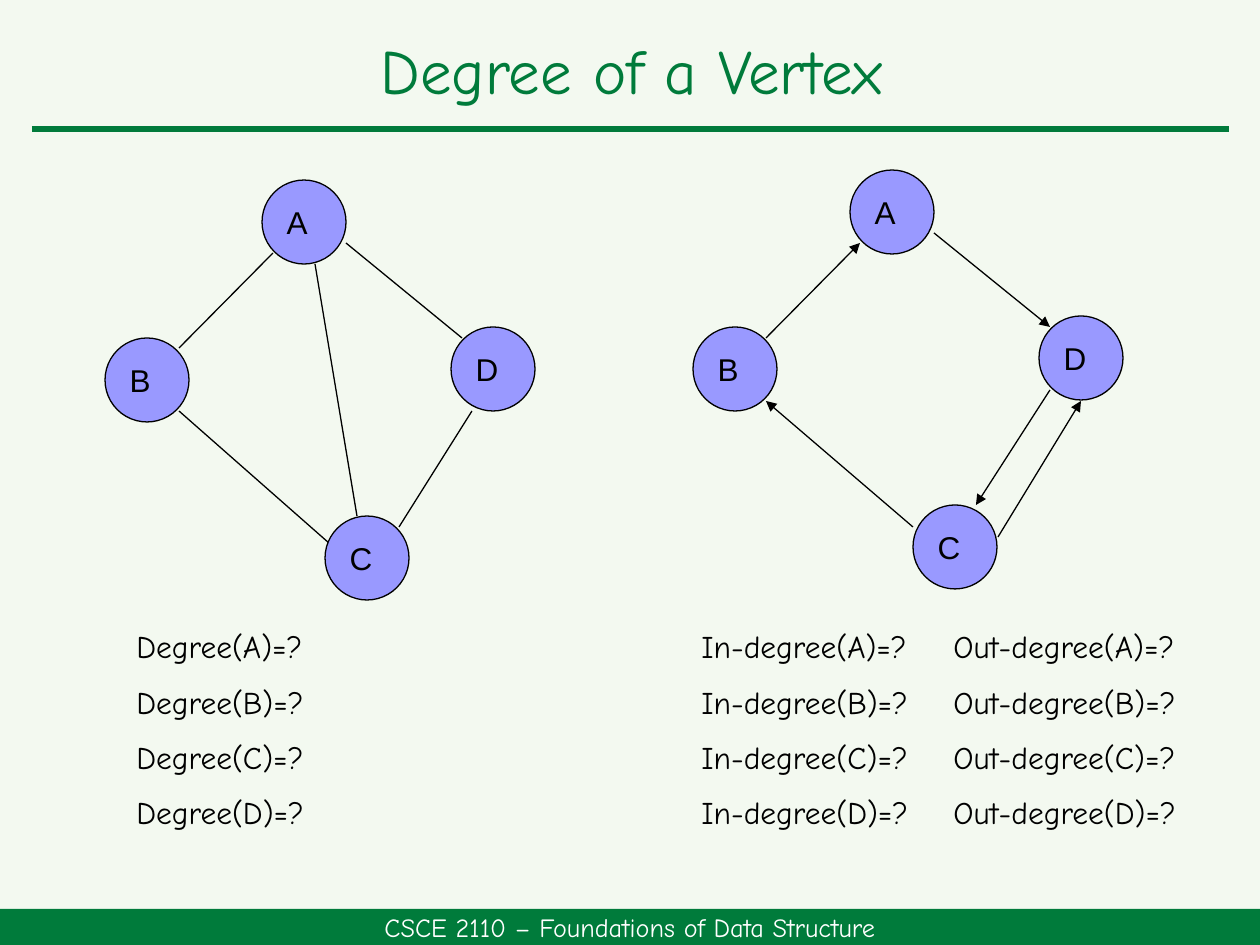
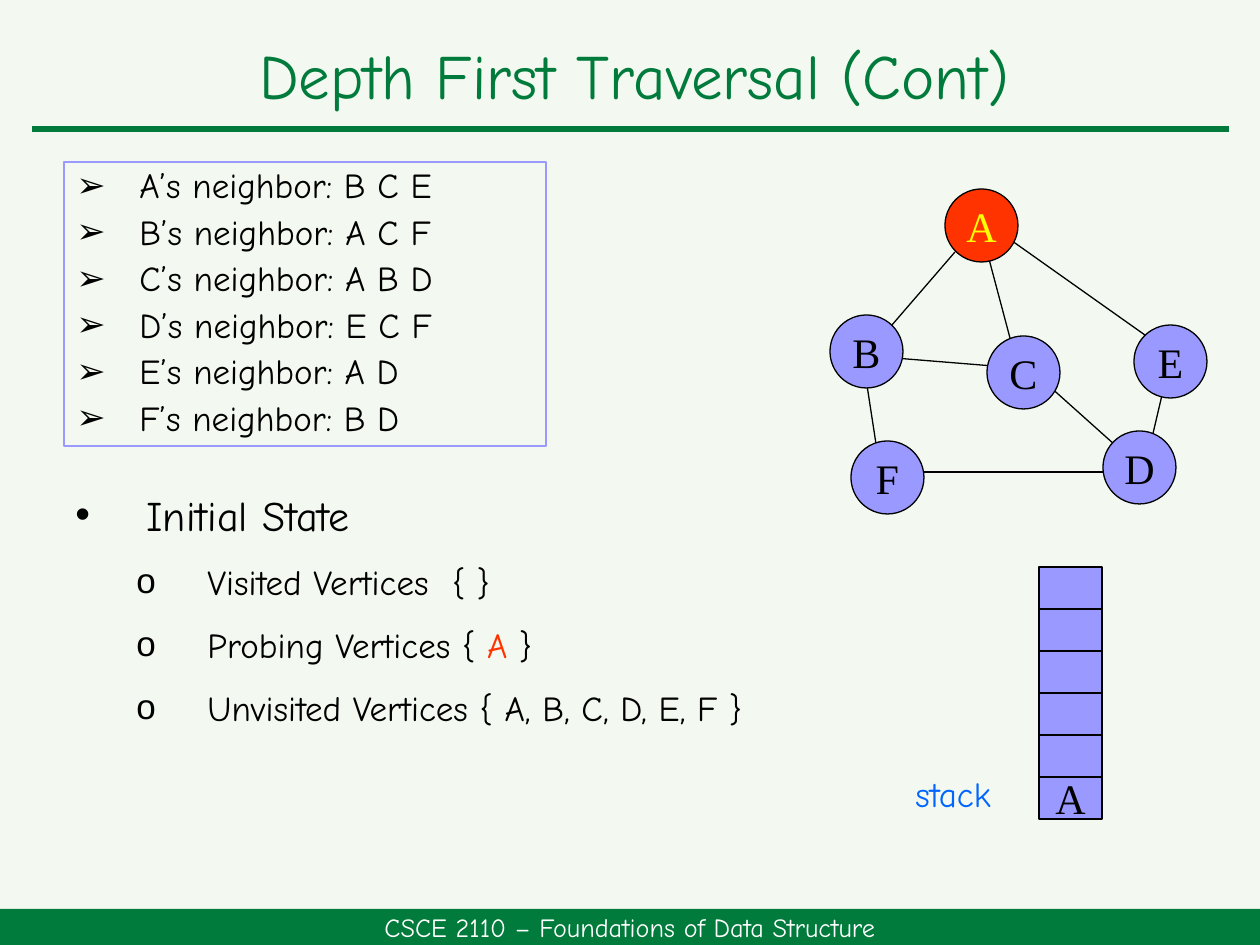
from lxml import etree
from pptx import Presentation
from pptx.dml.color import RGBColor
from pptx.enum.shapes import MSO_CONNECTOR, MSO_SHAPE
from pptx.enum.text import MSO_ANCHOR, MSO_AUTO_SIZE, PP_ALIGN
from pptx.oxml.ns import qn
from pptx.util import Emu, Pt

STRAIGHT = MSO_CONNECTOR.STRAIGHT
OVAL, RECTANGLE = MSO_SHAPE.OVAL, MSO_SHAPE.RECTANGLE
LEFT, CENTER = PP_ALIGN.LEFT, PP_ALIGN.CENTER
MIDDLE, TOP = MSO_ANCHOR.MIDDLE, MSO_ANCHOR.TOP

# Shared style; all lengths are px at 126 to the inch
EMU_PER_PX = 914400 / 126
WIDTH, HEIGHT = 1260, 945
GREEN, PALE, WHITE, BLACK = "007B3B", "F3F9F0", "FFFFFF", "000000"
LILAC, RED, YELLOW, BLUE = "9999FF", "FF3300", "FFFF00", "0066FF"
HAND, SANS, SERIF = "Comic Neue", "Arial", "Times New Roman"
FOOTER = "CSCE 2110 – Foundations of Data Structure"

# Slide 1: node corners, then edges as x1, y1, x2, y2
DEGREE_TITLE = "Degree of a Vertex", (33, 21, 1197, 107)
DEGREE_NODE = 84
UNDIRECTED_NODES = {"A": (262, 180), "D": (451, 327), "C": (325, 516), "B": (105, 338)}
UNDIRECTED_EDGES = [
    (179, 411, 346, 558), (273, 253, 179, 348), (399, 527, 472, 411),
    (315, 264, 357, 516), (346, 243, 462, 338),
]
DIRECTED_NODES = {"A": (850, 170), "D": (1039, 316), "C": (913, 505), "B": (693, 327)}
DIRECTED_EDGES = [
    (766, 338, 860, 243), (913, 527, 766, 401), (998, 537, 1081, 401),
    (934, 233, 1050, 327), (1050, 390, 976, 505),
]
VERTICES = "ABCD"
DEGREE_BOX = (124, 621, 325, 223)
IN_OUT_BOX = (689, 621, 535, 223)
OUT_DEGREE_TAB = 252

# Slide 2
TRAVERSAL_TITLE = "Depth First Traversal (Cont)", (38, 32, 1193, 94)
NEIGHBORS = {"A": "B C E", "B": "A C F", "C": "A B D", "D": "E C F", "E": "A D", "F": "B D"}
NEIGHBOR_BOX = (64, 162, 482, 284)
STATE_BOX = (63, 483, 798, 315)
STATE_HEADING = "Initial State"
STATES = [
    [("Visited Vertices  { }", BLACK)],
    [("Probing Vertices { ", BLACK), ("A", RED), (" }", BLACK)],
    [("Unvisited Vertices { A, B, C, D, E, F }", BLACK)],
]
TRAVERSAL_NODE = 73
TRAVERSAL_NODES = {
    "A": (945, 189), "B": (830, 315), "C": (987, 336),
    "E": (1134, 325), "F": (851, 441), "D": (1103, 431),
}
TRAVERSAL_EDGES = [
    (882, 357, 1018, 368), (955, 252, 892, 325), (976, 210, 1018, 368),
    (998, 231, 1176, 357), (861, 346, 882, 483), (1166, 378, 1144, 472),
    (1029, 368, 1134, 462), (903, 472, 1124, 472),
]
STACK = ["", "", "", "", "", "A"]
STACK_LEFT, STACK_TOP, CELL_WIDTH, CELL_HEIGHT = 1039, 567, 63, 42
STACK_LABEL = "stack", (903, 766, 116, 55)


def px(length):
    return Emu(round(length * EMU_PER_PX))


def color(value):
    return RGBColor.from_string(value)


def set_font(font, size, name=HAND, fill=BLACK):
    font.size, font.name, font.bold = Pt(size), name, False
    font.color.rgb = color(fill)


def set_bullet(paragraph, character, margin, hanging):
    properties = paragraph._p.get_or_add_pPr()
    properties.set("marL", str(px(margin)))
    properties.set("indent", str(-px(hanging)))
    etree.SubElement(properties, qn("a:buFont"), typeface=SANS)
    etree.SubElement(properties, qn("a:buChar"), char=character)


def set_tab(paragraph, position):
    tabs = etree.SubElement(paragraph._p.get_or_add_pPr(), qn("a:tabLst"))
    etree.SubElement(tabs, qn("a:tab"), pos=str(px(position)), algn="l")


def add_paragraph(frame, first):
    return frame.paragraphs[0] if first else frame.add_paragraph()


def add_line(slide, ends, fill=BLACK, width=0.75, arrow=False):
    line = slide.shapes.add_connector(STRAIGHT, *map(px, ends))
    line.line.color.rgb, line.line.width = color(fill), Pt(width)
    properties = line._element.spPr
    if arrow:
        etree.SubElement(properties.find(qn("a:ln")), qn("a:tailEnd"), type="triangle")
    etree.SubElement(properties, qn("a:effectLst"))


def add_box(slide, kind, box, fill=LILAC, line=BLACK, width=0.75):
    shape = slide.shapes.add_shape(kind, *map(px, box))
    shape.shadow.inherit = False
    if fill:
        shape.fill.solid()
        shape.fill.fore_color.rgb = color(fill)
    else:
        shape.fill.background()
    if line:
        shape.line.color.rgb, shape.line.width = color(line), Pt(width)
    else:
        shape.line.fill.background()
    return shape


def add_label(shape, text, size, name, fill=BLACK, align=CENTER):
    frame = shape.text_frame
    frame.vertical_anchor = MIDDLE
    frame.word_wrap = align == LEFT
    paragraph = frame.paragraphs[0]
    paragraph.text, paragraph.alignment = text, align
    set_font(paragraph.font, size, name, fill)


def add_text_frame(slide, box):
    frame = slide.shapes.add_textbox(*map(px, box)).text_frame
    frame.word_wrap = True
    return frame


def add_lines(slide, box, lines, size=18, fill=BLACK, tab=None):
    frame = add_text_frame(slide, box)
    for index, text in enumerate(lines):
        paragraph = add_paragraph(frame, index == 0)
        paragraph.text = text
        if index:
            paragraph.space_before = Pt(10)
        if tab:
            set_tab(paragraph, tab)
        set_font(paragraph.font, size, fill=fill)


def add_slide(presentation, title, box):
    slide = presentation.slides.add_slide(presentation.slide_layouts[5])
    add_line(slide, (32, 129, 1229, 129), GREEN, 3)
    band = add_box(slide, RECTANGLE, (0, 909, WIDTH, 36), GREEN, None)
    add_label(band, FOOTER, 15, HAND, WHITE)
    holder = slide.shapes.title
    holder.left, holder.top, holder.width, holder.height = map(px, box)
    frame = holder.text_frame
    frame.text, frame.vertical_anchor = title, MIDDLE
    frame.auto_size = MSO_AUTO_SIZE.NONE
    paragraph = frame.paragraphs[0]
    paragraph.alignment, paragraph.line_spacing = CENTER, 0.9
    set_font(paragraph.font, 36, fill=GREEN)
    return slide


def add_graph(slide, nodes, edges, diameter, label_style, arrow=False, probing=None):
    for ends in edges:
        add_line(slide, ends, arrow=arrow)
    for name, corner in nodes.items():
        fill, ink = (RED, YELLOW) if name == probing else (LILAC, BLACK)
        node = add_box(slide, OVAL, (*corner, diameter, diameter), fill)
        size, font, align = label_style
        add_label(node, name, size, font, ink, align)


def build_degree_slide(presentation):
    slide = add_slide(presentation, *DEGREE_TITLE)
    style = (18, SANS, LEFT)
    add_graph(slide, UNDIRECTED_NODES, UNDIRECTED_EDGES, DEGREE_NODE, style)
    add_graph(slide, DIRECTED_NODES, DIRECTED_EDGES, DEGREE_NODE, style, arrow=True)
    add_lines(slide, DEGREE_BOX, [f"Degree({v})=?" for v in VERTICES])
    in_out = [f"In-degree({v})=?\tOut-degree({v})=?" for v in VERTICES]
    add_lines(slide, IN_OUT_BOX, in_out, tab=OUT_DEGREE_TAB)


def add_neighbors(slide):
    frame = add_box(slide, RECTANGLE, NEIGHBOR_BOX, None, LILAC, 1.5).text_frame
    frame.word_wrap, frame.vertical_anchor = True, TOP
    for index, (vertex, neighbors) in enumerate(NEIGHBORS.items()):
        paragraph = add_paragraph(frame, index == 0)
        paragraph.text = f"{vertex}’s neighbor: {neighbors}"
        paragraph.alignment, paragraph.line_spacing = LEFT, 0.9
        if index:
            paragraph.space_before = Pt(5)
        set_bullet(paragraph, "➢", 63, 63)
        set_font(paragraph.font, 20)


def add_state(slide):
    frame = add_text_frame(slide, STATE_BOX)
    heading = frame.paragraphs[0]
    heading.text, heading.space_after = STATE_HEADING, Pt(6)
    set_bullet(heading, "•", 71, 71)
    set_font(heading.font, 24)
    for runs in STATES:
        paragraph = frame.add_paragraph()
        paragraph.level = 1
        paragraph.space_before, paragraph.space_after = Pt(6), Pt(6)
        set_bullet(paragraph, "o", 132, 71)
        set_font(paragraph.font, 20)
        for text, fill in runs:
            run = paragraph.add_run()
            run.text = text
            if fill != BLACK:
                run.font.color.rgb = color(fill)


def build_traversal_slide(presentation):
    slide = add_slide(presentation, *TRAVERSAL_TITLE)
    add_state(slide)
    add_neighbors(slide)
    for row, vertex in enumerate(STACK):
        top = STACK_TOP + row * CELL_HEIGHT
        cell = add_box(slide, RECTANGLE, (STACK_LEFT, top, CELL_WIDTH, CELL_HEIGHT))
        if vertex:
            add_label(cell, vertex, 24, SERIF)
    label, box = STACK_LABEL
    add_lines(slide, box, [label], 20, BLUE)
    add_graph(slide, TRAVERSAL_NODES, TRAVERSAL_EDGES, TRAVERSAL_NODE,
              (24, SERIF, CENTER), probing="A")


def main():
    presentation = Presentation()
    presentation.slide_width, presentation.slide_height = px(WIDTH), px(HEIGHT)
    background = presentation.slide_master.background.fill
    background.solid()
    background.fore_color.rgb = color(PALE)
    build_degree_slide(presentation)
    build_traversal_slide(presentation)
    presentation.save("out.pptx")


if __name__ == "__main__":
    main()
